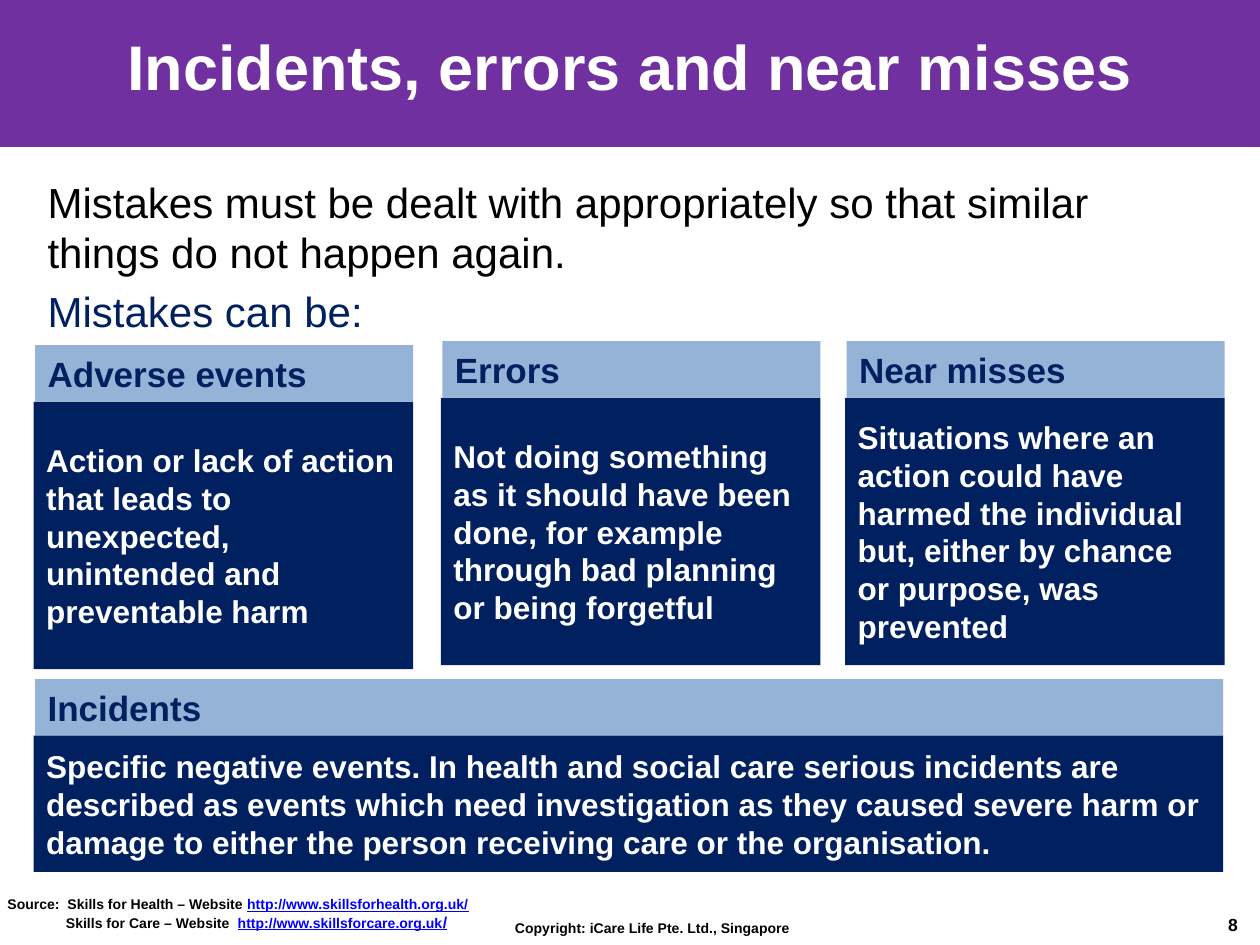
from pptx import Presentation
from pptx.util import Cm, Pt
from pptx.dml.color import RGBColor
from pptx.enum import shapes, text

FONT = "Arial"
HUES = {"band": "7030A0", "head": "95B3D7", "navy": "002060",
        "white": "FFFFFF", "black": "000000", "link": "0000FF"}
LEFT, MID = text.PP_ALIGN.LEFT, text.MSO_ANCHOR.MIDDLE


def hue(name):
    return RGBColor.from_string(HUES[name])


def style(run, size, color, bold=True, line=None):
    font = run.font
    font.name, font.size, font.bold = FONT, Pt(size), bold
    font.underline = line
    font.color.rgb = hue(color)


def fill_text(frame, words, size, color, bold=True, align=LEFT):
    frame.text = words
    for para in frame.paragraphs:
        para.alignment = align
        for run in para.runs:
            style(run, size, color, bold)


def add_rect(slide, box, color):
    rect = slide.shapes.add_shape(shapes.MSO_SHAPE.RECTANGLE, *map(Cm, box))
    rect.shadow.inherit = False
    rect.fill.solid()
    rect.fill.fore_color.rgb = hue(color)
    rect.line.fill.background()
    return rect


def add_box(slide, box, wrap=True):
    frame = slide.shapes.add_textbox(*map(Cm, box)).text_frame
    frame.word_wrap = wrap
    return frame


def add_title(slide, box, words):
    x, y, w, h = box
    band = add_rect(slide, box, "band")
    band.line.color.rgb = hue("band")
    band.line.width = Pt(2)
    # The band goes behind the title
    tree = slide.shapes._spTree
    tree.remove(band._element)
    tree.insert(2, band._element)
    title = slide.shapes.title
    title.left, title.top = Cm(x), Cm(y - 0.28)
    title.width, title.height = Cm(w), Cm(h + 0.26)
    title.text_frame.vertical_anchor = MID
    fill_text(title.text_frame, words, 36, "white", align=text.PP_ALIGN.CENTER)


def add_intro(slide, box, lead, cue):
    frame = add_box(slide, box)
    fill_text(frame, lead + "\n" + cue, 24, "black", bold=False)
    last = frame.paragraphs[1]
    last.space_before = Pt(4.8)
    last.runs[0].font.color.rgb = hue("navy")


def add_card(slide, box, name, words):
    x, y, w, h = box
    bar = 1.14
    parts = [((x, y, w, bar), "head", name, 20, "navy"),
             ((x - 0.03, y + bar, w + 0.03, h - bar), "navy", words, 18, "white")]
    for area, back, label, size, ink in parts:
        frame = add_rect(slide, area, back).text_frame
        frame.word_wrap = True
        frame.vertical_anchor = MID
        fill_text(frame, label, size, ink)


def add_footer(slide, box):
    x, y, w, h = box
    # Sources
    frame = add_box(slide, (x - 0.1, y, 10.92, h))
    rows = [[("Source:  Skills for Health – Website ", 8, False),
             ("http://www.skillsforhealth.org.uk/", 8, True)],
            [("Skills for Care – Website  ", 8, False),
             ("http://www.skillsforcare.org.uk", 8, True), ("/", 9, True)]]
    frame.text = "\n"
    for para, row in zip(frame.paragraphs, rows):
        for words, size, link in row:
            run = para.add_run()
            run.text = words
            style(run, size, "link" if link else "black", line=link)
    frame.paragraphs[1]._p.get_or_add_pPr().set("marL", str(Cm(1.18)))
    # Copyright and page number
    fill_text(add_box(slide, (x + 9.4, y + 0.48, 7.59, 0.61)),
              "Copyright: iCare Life Pte. Ltd., Singapore ", 8, "black",
              align=text.PP_ALIGN.CENTER)
    fill_text(add_box(slide, (x + w - 0.89, y + 0.38, 0.81, 0.69), wrap=False),
              "8", 10, "black")


def main():
    deck = Presentation()
    deck.slide_width, deck.slide_height = Cm(25.4), Cm(19.05)
    slide = deck.slides.add_slide(deck.slide_layouts[5])

    add_title(slide, (0, 0, 25.4, 2.92), "Incidents, errors and near misses")
    add_intro(slide, (0.71, 3.43, 22.86, 3.45),
              "Mistakes must be dealt with appropriately so that similar "
              "things do not happen again.", "Mistakes can be:")

    # Kinds of mistake
    cards = [
        (0.71, 6.96, "Adverse events",
         "Action or lack of action that leads to unexpected, unintended "
         "and preventable harm"),
        (8.92, 6.88, "Errors",
         "Not doing something as it should have been done, for example "
         "through bad planning or being forgetful"),
        (17.07, 6.88, "Near misses",
         "Situations where an\naction could have harmed the individual but, "
         "either by chance or purpose, was prevented"),
    ]
    for x, y, name, words in cards:
        add_card(slide, (x, y, 7.62, 6.53), name, words)
    add_card(slide, (0.71, 13.69, 23.95, 3.89), "Incidents",
             "Specific negative events. In health and social care serious "
             "incidents are described as events which need investigation as "
             "they caused severe harm or damage to either the person "
             "receiving care or the organisation.")

    add_footer(slide, (0, 17.93, 25.4, 1))
    deck.save("out.pptx")


if __name__ == "__main__":
    main()
